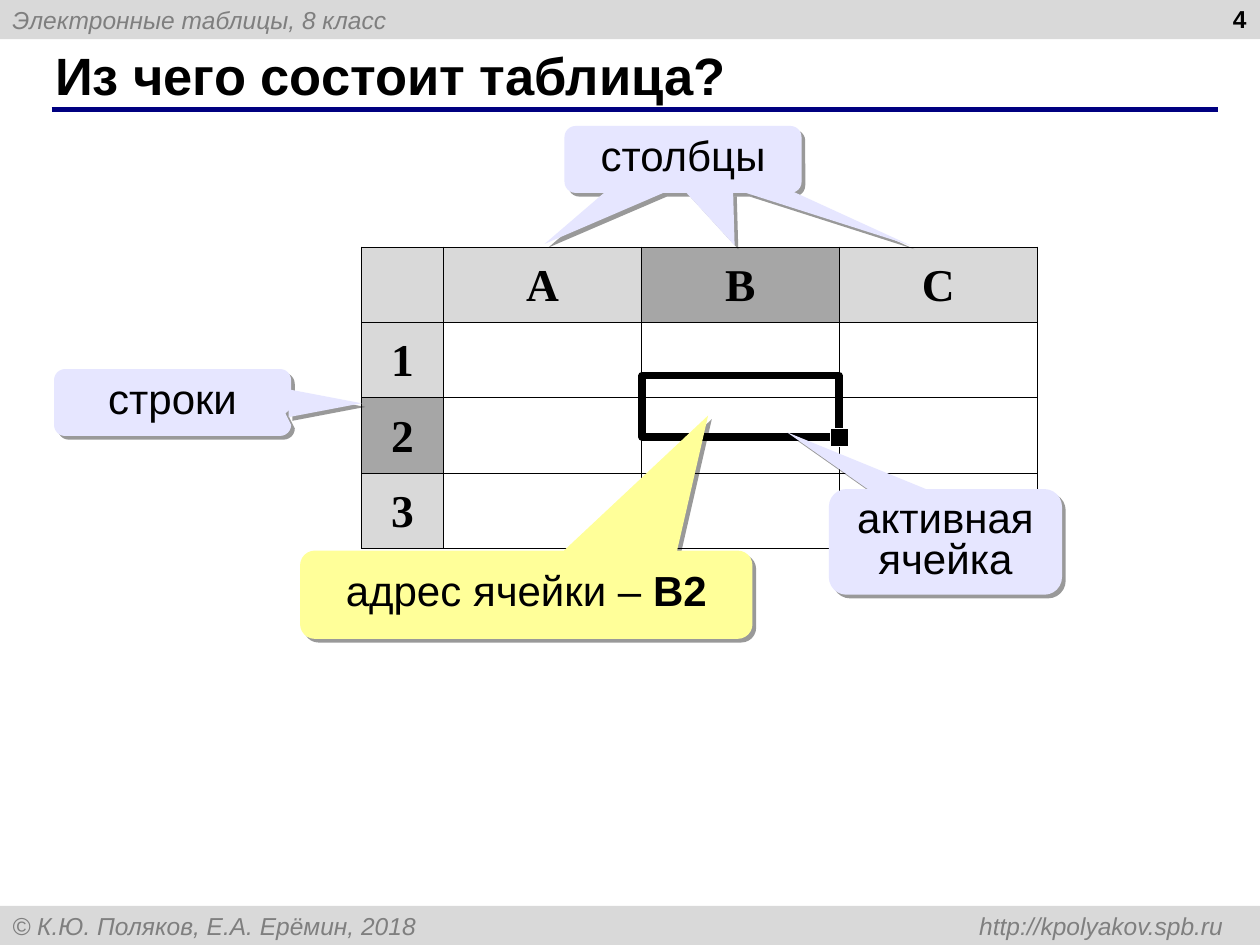
"""Build the slide on the parts of a spreadsheet table."""
from lxml import etree
from pptx import Presentation, util as u
from pptx.dml.color import RGBColor
from pptx.enum import shapes, text
from pptx.oxml import parse_xml
from pptx.oxml.ns import qn

HUE = {"bar": "D9D9D9", "dark": "A6A6A6", "gray": "7F7F7F", "navy": "000080",
       "black": "000000", "white": "FFFFFF", "lilac": "E6E6FF", "lemon": "FFFF99"}
NS = 'xmlns:a="http://schemas.openxmlformats.org/drawingml/2006/main"'
ALIGN = text.PP_ALIGN
KIND = shapes.MSO_SHAPE

BARS = [(0, "Электронные таблицы, 8 класс"),
        (18.26, "© К.Ю. Поляков, Е.А. Ерёмин, 2018 \thttp://kpolyakov.spb.ru")]
HEADS = [((0.86, 0.84, 23.27, 1.32), "Из чего состоит таблица?", 30, ALIGN.LEFT, text.MSO_ANCHOR.MIDDLE),
         ((19.46, -0.05, 5.92, 1.32), "4", 14, ALIGN.RIGHT, text.MSO_ANCHOR.TOP)]
GRID = [["", "A", "B", "C"], ["1", "", "", ""], ["2", "", "", ""], ["3", "", "", ""]]
ACTIVE = ("B", "2")
COLS = [1.65, 3.99, 3.99, 3.99]
ROW = 1.26
CALLS = [
    ((11.38, 2.54, 4.78, 1.35), (-0.584, 1.262, 0.167), "lilac", [("столбцы", False)],
     [[(15.04, 3.89), (18.36, 4.95), (15.98, 3.86)],
      [(13.84, 3.89), (14.81, 4.95), (14.78, 3.89)]]),
    ((1.09, 7.44, 4.78, 1.35), (0.476, 0.164, 0.167), "lilac", [("строки", False)],
     [[(7.29, 8.13), (5.82, 7.85), (5.82, 8.41)]]),
    ((16.71, 9.86, 4.7, 2.13), (-0.681, -1.039, 0.167), "lilac", [("активная ячейка", False)], []),
    ((6.05, 11.1, 9.12, 1.78), (0.402, -2.03, 0.167), "lemon",
     [("адрес ячейки – ", False), ("B2", True)], []),
]


def rgb(name):
    return RGBColor.from_string(HUE[name])


def cm(vals):
    return [u.Cm(v) for v in vals]


def write(para, words, size, hue="black", bold=False, slant=False, face="Arial"):
    run = para.add_run()
    run.text = words
    font = run.font
    font.size, font.name, font.bold, font.italic = u.Pt(size), face, bold, slant
    font.color.rgb = rgb(hue)


def paint(shape, fill=None, line=None, width=1):
    shape.shadow.inherit = False
    if fill:
        shape.fill.solid()
        shape.fill.fore_color.rgb = rgb(fill)
    else:
        shape.fill.background()
    if line:
        shape.line.color.rgb = rgb(line)
        shape.line.width = u.Pt(width)
    else:
        shape.line.fill.background()
    return shape


def shade(shape):
    glow = shape._element.spPr.find(qn("a:effectLst"))
    glow.append(parse_xml(
        f'<a:outerShdw {NS} dist="38100" dir="2700000" algn="tl" rotWithShape="0">'
        '<a:srgbClr val="000000"><a:alpha val="40000"/></a:srgbClr></a:outerShdw>'))


def block(slide, kind, box, **look):
    return paint(slide.shapes.add_shape(kind, *cm(box)), **look)


def frame(shape, align, anchor=text.MSO_ANCHOR.MIDDLE):
    body = shape.text_frame
    body.word_wrap = True
    body.vertical_anchor = anchor
    para = body.paragraphs[0]
    para.alignment = align
    return para


def page(slide):
    for top, words in BARS:
        bar = block(slide, KIND.RECTANGLE, (0, top, 25.4, 0.79), fill="bar")
        para = frame(bar, ALIGN.LEFT)
        if "\t" in words:
            tabs = etree.SubElement(para._p.get_or_add_pPr(), qn("a:tabLst"))
            etree.SubElement(tabs, qn("a:tab"), pos=str(u.Cm(24.41)), algn="r")
        write(para, words, 14, "gray", slant=True)
    rule = slide.shapes.add_connector(shapes.MSO_CONNECTOR.STRAIGHT, *cm((1.04, 2.21, 24.56, 2.21)))
    rule.line.color.rgb = rgb("navy")
    rule.line.width = u.Pt(3)
    etree.SubElement(rule._element.spPr, qn("a:effectLst"))
    for box, words, size, align, anchor in HEADS:
        para = frame(slide.shapes.add_textbox(*cm(box)), align, anchor)
        write(para, words, size, bold=True)


def edge(cell):
    props = cell._tc.get_or_add_tcPr()
    for spot, side in enumerate(("lnL", "lnR", "lnT", "lnB")):
        props.insert(spot, parse_xml(
            f'<a:{side} {NS} w="5715"><a:solidFill><a:srgbClr val="{HUE["black"]}"/>'
            f'</a:solidFill></a:{side}>'))


def sheet(slide):
    size = (7.29, 4.98, sum(COLS), ROW * len(GRID))
    table = slide.shapes.add_table(len(GRID), len(COLS), *cm(size)).table
    table.first_row = table.horz_banding = False
    for col, wide in zip(table.columns, COLS):
        col.width = u.Cm(wide)
    for r, row in enumerate(GRID):
        for c, words in enumerate(row):
            cell = table.cell(r, c)
            if r and c:
                cell.fill.background()
            else:
                cell.fill.solid()
                cell.fill.fore_color.rgb = rgb("dark" if words in ACTIVE else "bar")
            edge(cell)
            if words:
                cell.margin_left = cell.margin_right = u.Cm(0.46)
                para = cell.text_frame.paragraphs[0]
                para.alignment, para.line_spacing = ALIGN.CENTER, 1.15
                write(para, words, 26, bold=True, face="Times New Roman")
    ring = block(slide, KIND.RECTANGLE, (12.95, 7.57, 3.96, 1.24), line="black", width=4.5)
    knob = block(slide, KIND.RECTANGLE, (16.74, 8.64, 0.36, 0.36),
                 fill="black", line="white", width=0.75)
    slide.shapes.add_group_shape([ring, knob])


def notes(slide):
    for box, bends, hue, runs, tails in CALLS:
        call = block(slide, KIND.ROUNDED_RECTANGULAR_CALLOUT, box, fill=hue)
        for spot, bend in enumerate(bends):
            call.adjustments[spot] = bend
        para = frame(call, ALIGN.CENTER)
        para.line_spacing = 0.8
        for words, bold in runs:
            write(para, words, 24, bold=bold)
        parts = [call]
        for first, *rest in tails:
            pen = slide.shapes.build_freeform(*cm(first))
            pen.add_line_segments([cm(dot) for dot in rest], close=True)
            parts.append(paint(pen.convert_to_shape(), fill=hue))
        for part in parts:
            shade(part)
        if tails:
            slide.shapes.add_group_shape(parts)


def main():
    deck = Presentation()
    deck.slide_width, deck.slide_height = cm((25.4, 19.05))
    slide = deck.slides.add_slide(deck.slide_layouts[6])
    page(slide)
    sheet(slide)
    notes(slide)
    deck.save("out.pptx")


if __name__ == "__main__":
    main()
